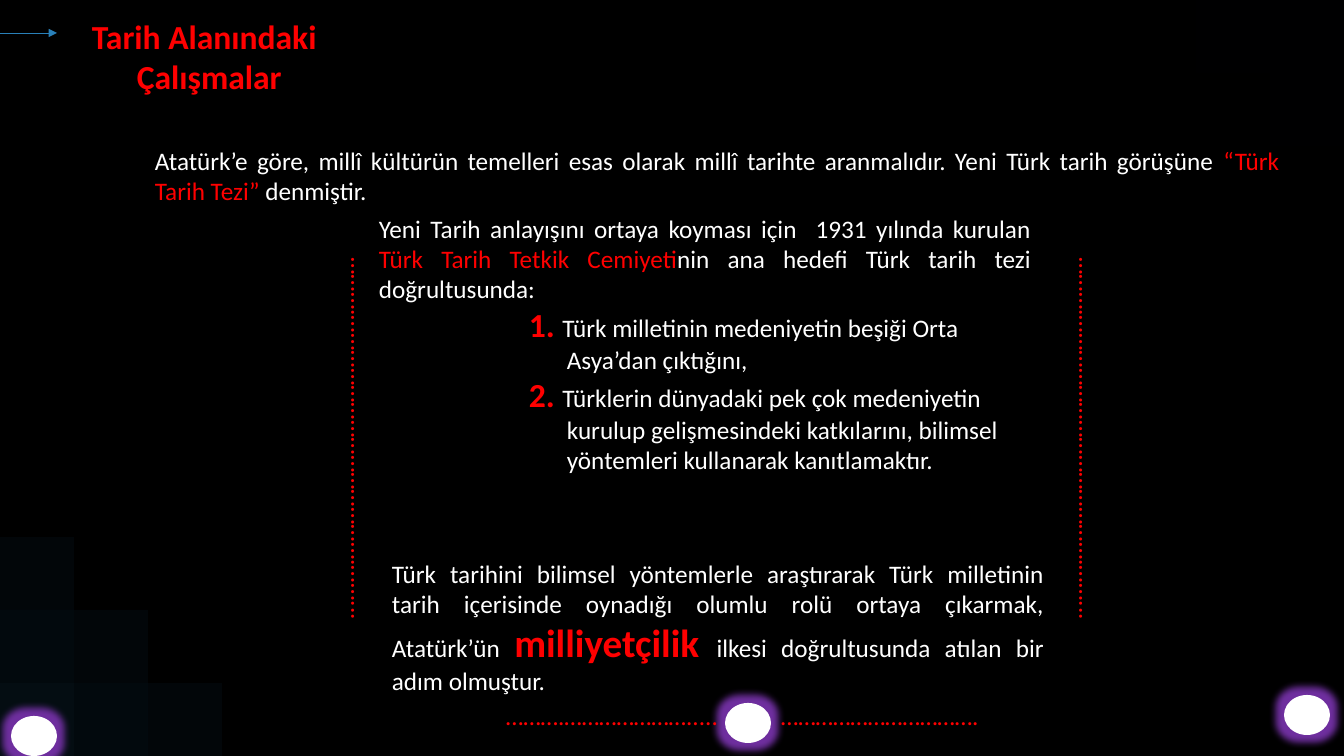
from lxml.etree import SubElement
from pptx import Presentation
from pptx.dml.color import RGBColor
from pptx.enum.shapes import MSO_CONNECTOR, MSO_SHAPE
from pptx.enum.text import PP_ALIGN
from pptx.oxml.ns import qn
from pptx.util import Pt

W, H = 1344, 756
RED, WHITE, BLUE, DARK, PURPLE = "FF0000", "FFFFFF", "2980B9", "171622", "7030A0"

BODY = dict(size=18, color=WHITE)
KEY = dict(size=18, color=RED)
TITLE = dict(size=24, color=RED, bold=True)
HUGE = dict(size=28, color=RED, bold=True)

LEFT = dict(align=PP_ALIGN.LEFT)
JUST = dict(align=PP_ALIGN.JUSTIFY)
ITEM = dict(align=PP_ALIGN.LEFT, margin=188, indent=-38)
DOTS = "……….…………………………………….……..."

TEXTS = [
    dict(box=(82, 11, 255, 92), wrap=False, paras=[
        (LEFT, [("Tarih Alanındaki", TITLE)]),
        (dict(align=PP_ALIGN.LEFT, margin=45), [("Çalışmalar", TITLE)]),
    ]),
    dict(box=(145, 140, 1144, 72), paras=[
        (JUST, [("Atatürk’e göre, millî kültürün temelleri esas olarak millî tarihte "
                 "aranmalıdır. Yeni Türk tarih görüşüne ", BODY),
                ("“Türk Tarih Tezi”", KEY), (" denmiştir.", BODY)]),
    ]),
    dict(box=(369, 208, 672, 275), paras=[
        (JUST, [("Yeni Tarih anlayışını ortaya koyması için  1931 yılında kurulan ", BODY),
                ("Türk Tarih Tetkik Cemiyeti", KEY),
                ("nin ana hedefi Türk tarih tezi doğrultusunda:", BODY)]),
        (ITEM, [("1. ", TITLE),
                ("Türk milletinin medeniyetin beşiği Orta Asya’dan çıktığını,", BODY)]),
        (ITEM, [("2. ", TITLE),
                ("Türklerin dünyadaki pek çok medeniyetin kurulup gelişmesindeki "
                 "katkılarını, bilimsel yöntemleri kullanarak kanıtlamaktır.", BODY)]),
    ]),
    dict(box=(382, 553, 672, 149), paras=[
        (JUST, [("Türk tarihini bilimsel yöntemlerle araştırarak Türk milletinin tarih "
                 "içerisinde oynadığı olumlu rolü ortaya çıkarmak, Atatürk’ün ", BODY),
                ("milliyetçilik ", HUGE),
                ("ilkesi doğrultusunda atılan bir adım olmuştur.", BODY)]),
    ]),
    dict(box=(157, 432, 409, 40), rotation=90, paras=[(LEFT, [(DOTS, KEY)])]),
    dict(box=(885, 432, 409, 40), rotation=90, paras=[(LEFT, [(DOTS, KEY)])]),
    dict(box=(496, 695, 505, 40), paras=[
        (dict(align=PP_ALIGN.LEFT, tab=275),
         [("……….………………….....\t…………………………….", KEY)]),
    ]),
]

STEP_X, STEP_Y, STEPS = 74, 73, 3
STAIRS = [
    (BLUE, (10, 7, 5), lambda c, r: (c * STEP_X, H - (r + 1) * STEP_Y)),
    (DARK, (4, 3, 2), lambda c, r: (W - (c + 1) * STEP_X, r * STEP_Y)),
]
LAMPS = [(11, 716), (725, 703), (1284, 695)]
LAMP_W, LAMP_H, GLOW = 46, 40, 15
ARROW = (0, 33, 57, 33)


def px(n):
    return round(n * 914400 / 100.8)


def rgb(color):
    return RGBColor.from_string(color)


def add_filled(s, kind, box, color, alpha=None):
    sp = s.shapes.add_shape(kind, *map(px, box))
    sp.shadow.inherit = False
    sp.fill.solid()
    sp.fill.fore_color.rgb = rgb(color)
    sp.line.fill.background()
    if alpha:
        clr = sp.fill._xPr.find(qn("a:solidFill"))[0]
        SubElement(clr, qn("a:alpha"), val=str(alpha * 1000))
    return sp


def add_run(p, text, fmt):
    r = p.add_run()
    r.text = text
    values = dict(name="Calibri", size=Pt(fmt["size"]), bold=fmt.get("bold", False))
    for key, value in values.items():
        setattr(r.font, key, value)
    r.font.color.rgb = rgb(fmt["color"])


def add_text(s, box, paras, wrap=True, rotation=0):
    sp = s.shapes.add_textbox(*map(px, box))
    sp.rotation = rotation
    tf = sp.text_frame
    tf.word_wrap = wrap
    for i, (layout, runs) in enumerate(paras):
        p = tf.add_paragraph() if i else tf.paragraphs[0]
        p.alignment = layout["align"]
        pPr = p._p.get_or_add_pPr()
        for key, name in (("margin", "marL"), ("indent", "indent")):
            if key in layout:
                pPr.set(name, str(px(layout[key])))
        if "tab" in layout:
            tabs = SubElement(pPr, qn("a:tabLst"))
            SubElement(tabs, qn("a:tab"), pos=str(px(layout["tab"])), algn="l")
        for text, fmt in runs:
            add_run(p, text, fmt)


def add_arrow(s, ends):
    line = s.shapes.add_connector(MSO_CONNECTOR.STRAIGHT, *map(px, ends))
    line.line.color.rgb = rgb(BLUE)
    line.line.width = Pt(0.5)
    SubElement(line.line._get_or_add_ln(), qn("a:tailEnd"), type="triangle")
    SubElement(line._element.spPr, qn("a:effectLst"))


def add_lamp(s, x, y):
    sp = add_filled(s, MSO_SHAPE.OVAL, (x, y, LAMP_W, LAMP_H), WHITE)
    effects = sp._element.spPr.find(qn("a:effectLst"))
    glow = SubElement(effects, qn("a:glow"), rad=str(px(GLOW)))
    SubElement(glow, qn("a:srgbClr"), val=PURPLE)


def main():
    prs = Presentation()
    prs.slide_width, prs.slide_height = px(W), px(H)
    s = prs.slides.add_slide(prs.slide_layouts[6])
    s.background.fill.solid()
    s.background.fill.fore_color.rgb = rgb("000000")
    for color, alphas, corner in STAIRS:
        for row in range(STEPS):
            for col in range(STEPS - row):
                box = (*corner(col, row), STEP_X, STEP_Y)
                add_filled(s, MSO_SHAPE.RECTANGLE, box, color, alphas[col + row])
    add_arrow(s, ARROW)
    for x, y in LAMPS:
        add_lamp(s, x, y)
    for text in TEXTS:
        add_text(s, **text)
    prs.save("out.pptx")


if __name__ == "__main__":
    main()
